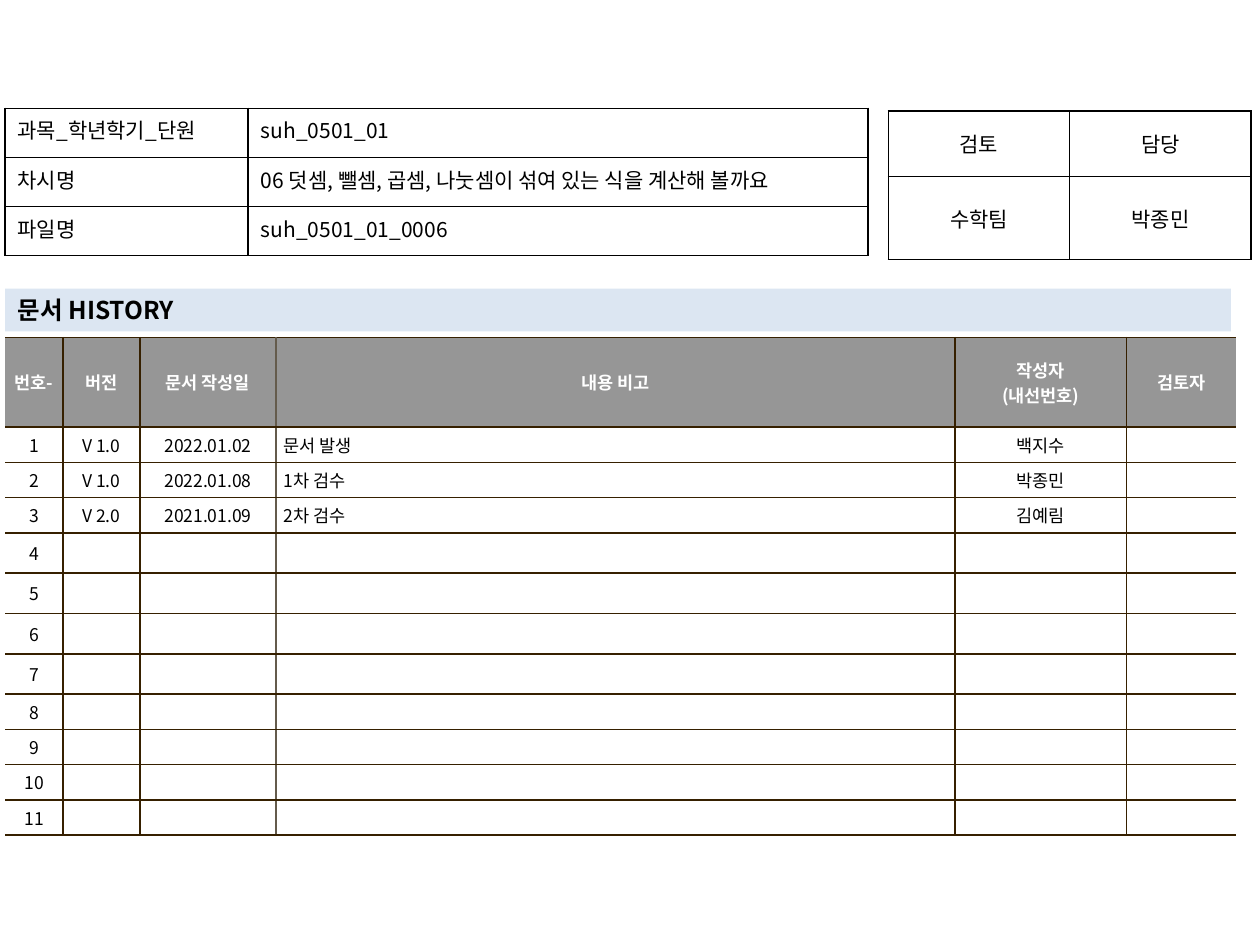
"""Build the document information and history slide of a maths lesson."""
from lxml.etree import SubElement
from pptx import Presentation
from pptx.dml.color import RGBColor as Rgb
from pptx.enum.text import MSO_ANCHOR as Anchor, MSO_AUTO_SIZE as AutoSize, PP_ALIGN as Align
from pptx.oxml.ns import qn
from pptx.util import Inches, Pt

FONT = "Noto Sans CJK KR"
COLORS = {"text": "000000", "white": "FFFFFF", "header": "969696", "bar": "DCE6F2",
          "line": "362000", "soft_line": "645B4C"}
GRID = Inches(0.01)
NO_STYLE = "{2D5ABB26-0587-4C30-8999-92F81FD0307C}"
INFO_ROWS = [
    ["과목_학년학기_단원", "suh_0501_01"],
    ["차시명", "06 덧셈, 뺄셈, 곱셈, 나눗셈이 섞여 있는 식을 계산해 볼까요"],
    ["파일명", "suh_0501_01_0006"],
]
REVIEW_ROWS = [["검토", "담당"], ["수학팀", "박종민"]]
HISTORY_HEADER = ["번호-", "버전", "문서 작성일", "내용 비고", "작성자\n(내선번호)", "검토자"]
HISTORY_ENTRIES = [
    ["V 1.0", "2022.01.02", "문서 발생", "백지수", ""],
    ["V 1.0", "2022.01.08", "1차 검수", "박종민", ""],
    ["V 2.0", "2021.01.09", "2차 검수", "김예림", ""],
]
HISTORY_COUNT = 11
NOTE_COLUMN = 3


def write_text(frame, text, size, color="text", bold=False, align=Align.LEFT):
    """Write each line of the text as a paragraph with one formatted run."""
    for index, line in enumerate(text.split("\n")):
        paragraph = frame.add_paragraph() if index else frame.paragraphs[0]
        paragraph.alignment = align
        if not line:
            SubElement(paragraph._p, qn("a:endParaRPr"), sz=str(size * 100))
            continue
        run = paragraph.add_run()
        run.text = line
        font = run.font
        font.size, font.bold, font.name = Pt(size), bold, FONT
        font.color.rgb = Rgb.from_string(COLORS[color])
        SubElement(font._element, qn("a:ea"), typeface=FONT)


def set_borders(cell, borders):
    """Draw one-point cell borders, given as a colour name for each side."""
    properties = cell._tc.get_or_add_tcPr()
    for side in "LRTB":
        if side in borders:
            line = SubElement(properties, qn(f"a:ln{side}"), w=str(Pt(1)))
            fill = SubElement(line, qn("a:solidFill"))
            SubElement(fill, qn("a:srgbClr"), val=COLORS[borders[side]])


def add_grid_table(slide, left, top, columns, rows):
    """Add a plain table whose lengths are counted in grid units."""
    shape = slide.shapes.add_table(len(rows), len(columns), left * GRID, top * GRID,
                                   sum(columns) * GRID, sum(rows) * GRID)
    table = shape.table
    table.first_row = table.horz_banding = False
    shape._element.find(".//" + qn("a:tableStyleId")).text = NO_STYLE
    for column, width in zip(table.columns, columns):
        column.width = width * GRID
    for row, height in zip(table.rows, rows):
        row.height = height * GRID
    return table


def add_box_table(slide, left, top, columns, rows, texts, anchor, align):
    """Add a black-ruled table without fill."""
    table = add_grid_table(slide, left, top, columns, rows)
    for row, values in enumerate(texts):
        for column, text in enumerate(values):
            cell = table.cell(row, column)
            cell.vertical_anchor = anchor
            set_borders(cell, dict.fromkeys("LRTB", "text"))
            cell.fill.background()
            write_text(cell.text_frame, text, 12, align=align)


def history_borders(column):
    """Return the borders of a history column, open at the table's outer sides."""
    borders = dict.fromkeys("LRTB", "line")
    if column == 0:
        del borders["L"]
    if column == len(HISTORY_HEADER) - 1:
        del borders["R"]
    if column == NOTE_COLUMN - 1:
        borders["R"] = "soft_line"
    if column == NOTE_COLUMN:
        borders["L"] = "soft_line"
    return borders


def add_history_table(slide):
    """Add the numbered history table with its grey header row."""
    blank = [""] * (len(HISTORY_HEADER) - 1)
    entries = HISTORY_ENTRIES + [blank] * (HISTORY_COUNT - len(HISTORY_ENTRIES))
    texts = [HISTORY_HEADER] + [[str(n), *entry] for n, entry in enumerate(entries, 1)]
    table = add_grid_table(slide, 4, 268, [46, 61, 108, 539, 136, 87],
                           [71] + [28] * 3 + [32] * 4 + [28] * 4)
    for row, values in enumerate(texts):
        header = row == 0
        for column, text in enumerate(values):
            cell = table.cell(row, column)
            cell.vertical_anchor = Anchor.MIDDLE
            cell.margin_left = cell.margin_right = 6 * GRID
            cell.margin_top = cell.margin_bottom = 4 * GRID
            set_borders(cell, history_borders(column))
            cell.fill.solid()
            cell.fill.fore_color.rgb = Rgb.from_string(COLORS["header" if header else "white"])
            is_note = column == NOTE_COLUMN and not header
            write_text(cell.text_frame, text, 10, "white" if header else "text", header,
                       Align.LEFT if is_note else Align.CENTER)


def add_title_bar(slide):
    """Turn the title placeholder into the pale blue heading bar."""
    title = slide.shapes.title
    title.left, title.top, title.width, title.height = (n * GRID for n in (4, 229, 973, 34))
    title.fill.solid()
    title.fill.fore_color.rgb = Rgb.from_string(COLORS["bar"])
    frame = title.text_frame
    frame.auto_size, frame.vertical_anchor = AutoSize.NONE, Anchor.MIDDLE
    write_text(frame, "문서 HISTORY", 14, bold=True)


def main():
    """Build and save the slide."""
    presentation = Presentation()
    presentation.slide_width, presentation.slide_height = 1000 * GRID, 750 * GRID
    slide = presentation.slides.add_slide(presentation.slide_layouts.get_by_name("Title Only"))
    add_title_bar(slide)
    add_history_table(slide)
    add_box_table(slide, 705, 88, [144] * 2, [52, 66], REVIEW_ROWS, Anchor.MIDDLE, Align.CENTER)
    add_box_table(slide, 4, 86, [193, 492], [39] * 3, INFO_ROWS, Anchor.TOP, Align.LEFT)
    presentation.save("out.pptx")


if __name__ == "__main__":
    main()
